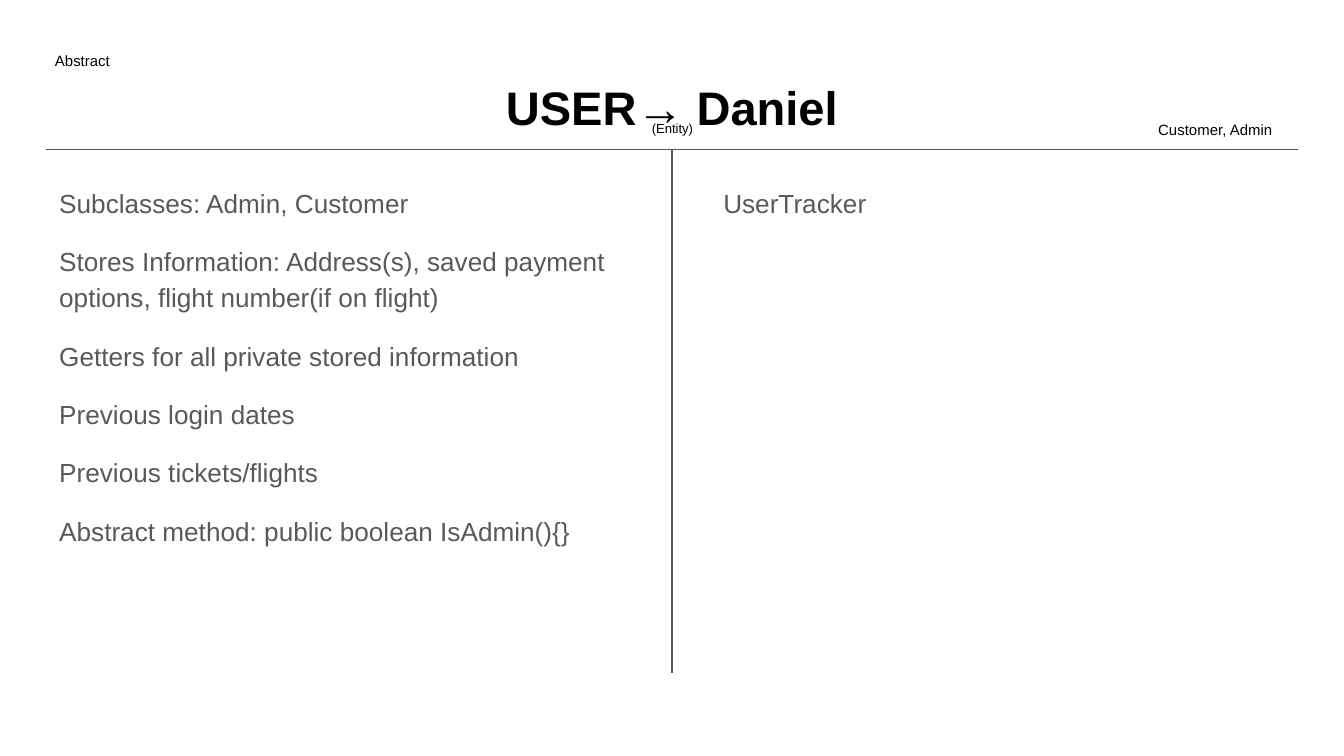
from lxml import etree
from pptx import Presentation
from pptx import util as u
from pptx.dml import color
from pptx.enum import shapes, text
from pptx.oxml import ns

BLACK, GREY = "000000", "595959"
MARGIN, MIDDLE, RULE_Y = 0.87, 12.7, 2.82
WIDTH, HEIGHT = 25.4, 14.29
CENTER = text.PP_ALIGN.CENTER


def rgb(value):
    """Turn a hex string into a colour."""
    return color.RGBColor.from_string(value)


def set_all(target, values):
    """Set every attribute named in a dict."""
    for name, value in values.items():
        setattr(target, name, value)


def add_text(s, box, lines, size, hue=BLACK, bold=False, para=None, gap=0, grow=False):
    """Add a text box with one paragraph per line."""
    tf = s.shapes.add_textbox(*map(u.Cm, box)).text_frame
    fit = text.MSO_AUTO_SIZE
    set_all(tf, {
        "word_wrap": True,
        "auto_size": fit.SHAPE_TO_FIT_TEXT if grow else fit.NONE,
        "vertical_anchor": text.MSO_ANCHOR.TOP,
        **{f"margin_{side}": u.Cm(0.25) for side in ("left", "right", "top", "bottom")},
    })
    for i, line in enumerate(lines):
        p = tf.add_paragraph() if i else tf.paragraphs[0]
        set_all(p, {"space_before": u.Pt(gap if i else 0), **(para or {})})
        r = p.add_run()
        r.text = line
        set_all(r.font, {"name": "Arial", "size": u.Pt(size), "bold": bold})
        r.font.color.rgb = rgb(hue)


def add_column(s, left, lines):
    """Add a body column below the rule."""
    add_text(s, (left, 3.2, 11.1, 9.5), lines, 14, GREY,
             para={"line_spacing": 1.15}, gap=12)


def add_label(s, left, top, line, size=8, para=None):
    """Add a small label."""
    add_text(s, (left, top, 4.14, 0.86), [line], size, para=para, grow=True)


def add_rule(s, *ends):
    """Add a thin straight line."""
    c = s.shapes.add_connector(shapes.MSO_CONNECTOR.STRAIGHT, *map(u.Cm, ends))
    c.line.width = u.Pt(0.75)
    c.line.color.rgb = rgb(GREY)
    etree.SubElement(c._element.spPr, ns.qn("a:effectLst"))


def main():
    """Build the class card slide."""
    prs = Presentation()
    set_all(prs, {"slide_width": u.Cm(WIDTH), "slide_height": u.Cm(HEIGHT)})
    s = prs.slides.add_slide(prs.slide_layouts[6])
    add_text(s, (MARGIN, 1.24, WIDTH - 2 * MARGIN, 1.6), ["USER→ Daniel"], 25.2,
             bold=True, para={"alignment": CENTER})
    add_column(s, MARGIN, [
        "Subclasses: Admin, Customer",
        "Stores Information: Address(s), saved payment options, flight number(if on flight)",
        "Getters for all private stored information",
        "Previous login dates",
        "Previous tickets/flights",
        "Abstract method: public boolean IsAdmin(){}",
    ])
    add_column(s, 13.42, ["UserTracker"])
    add_rule(s, MIDDLE, RULE_Y, MIDDLE, 12.73)
    add_rule(s, MARGIN, RULE_Y, WIDTH - MARGIN, RULE_Y)
    add_label(s, 21.64, 2.11, "Customer, Admin")
    add_label(s, 0.79, 0.81, "Abstract")
    add_label(s, 10.64, 2.13, "(Entity)", 7, {"alignment": CENTER})
    prs.save("out.pptx")


main()
